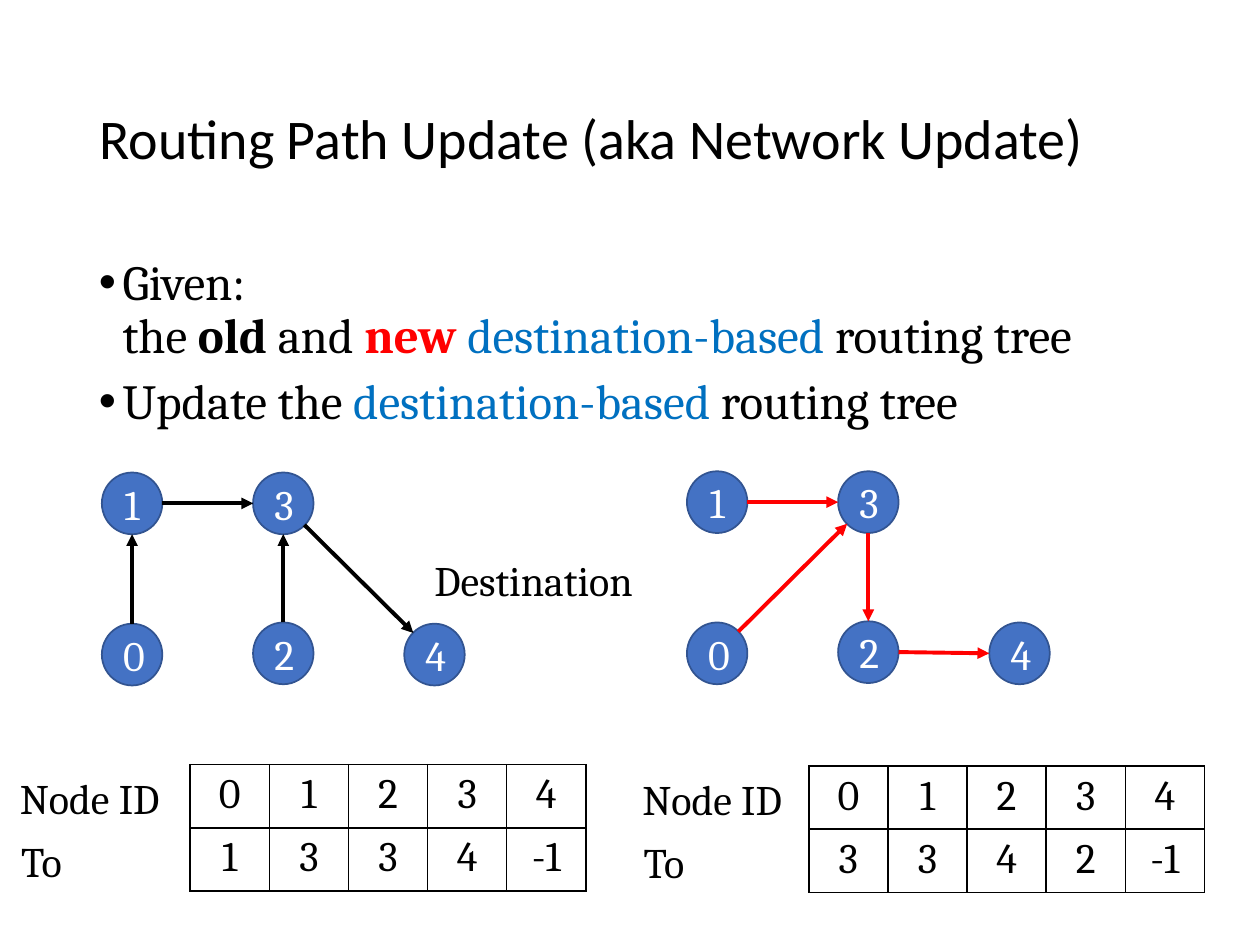
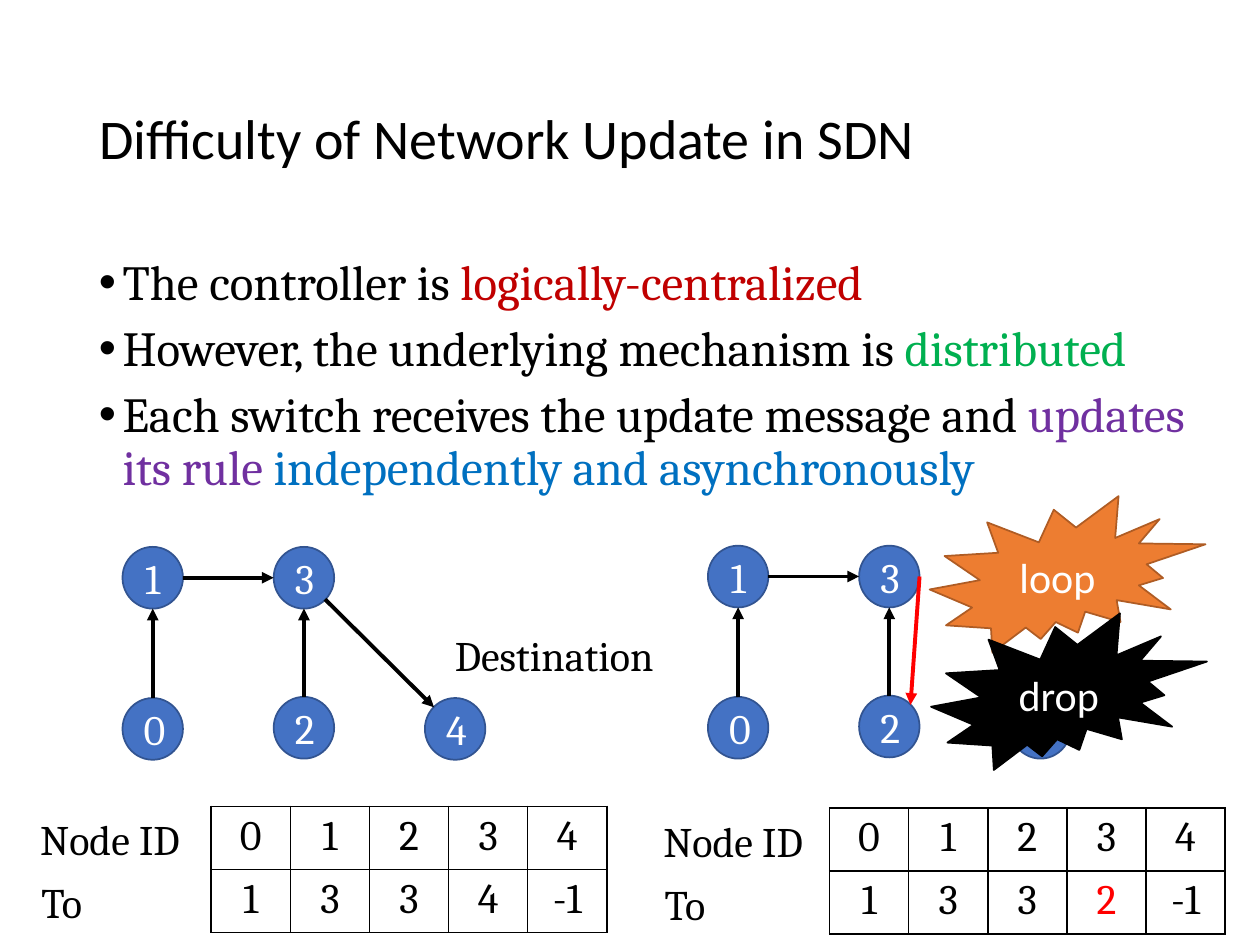
from lxml.etree import SubElement
from pptx import Presentation
from pptx.dml.color import RGBColor
from pptx.enum.shapes import MSO_CONNECTOR as Connector, MSO_SHAPE as Shape
from pptx.enum.text import MSO_ANCHOR as Anchor, MSO_AUTO_SIZE as AutoSize, PP_ALIGN as Align
from pptx.oxml.ns import qn
from pptx.util import Pt

BLACK, WHITE, RED = "000000", "FFFFFF", "FF0000"
BLUE, NODE_FILL, NODE_LINE = "0070C0", "4472C4", "325491"
TITLE_FONT, TEXT_FONT = "Calibri", "Cambria"
NODE_WIDTH, NODE_HEIGHT, NODE_PITCH = 34.56, 35.28, 86.4
COLUMN_WIDTH, ROW_HEIGHT = 45.22, 29.2
NODE_OFFSETS = {
    "0": (0, NODE_PITCH),
    "1": (0, 0),
    "2": (NODE_PITCH, NODE_PITCH - 0.7),
    "3": (NODE_PITCH, 0),
    "4": (2 * NODE_PITCH, NODE_PITCH),
}
NEAR, FAR = 0.15, 0.85
SITES = {
    "top": (0.5, 0),
    "left": (0, 0.5),
    "bottom": (0.5, 1),
    "right": (1, 0.5),
    "top left": (NEAR, NEAR),
    "top right": (FAR, NEAR),
    "bottom left": (NEAR, FAR),
    "bottom right": (FAR, FAR),
}
UP_0_1 = ("0", "top", "1", "bottom", BLACK)
ACROSS_1_3 = ("1", "right", "3", "left", BLACK)
UP_2_3 = ("2", "top", "3", "bottom", BLACK)
OLD_TREE = [UP_0_1, ACROSS_1_3, ("3", "bottom right", "4", "top left", BLACK), UP_2_3]
NEW_TREE = [
    ("0", "top right", "3", "bottom left", RED),
    ("1", "right", "3", "left", RED),
    ("3", "bottom", "2", "top", RED),
    ("2", "right", "4", "left", RED),
]
LOOP_TREE = [UP_0_1, ACROSS_1_3, UP_2_3, ("3", "right", "2", "top right", RED)]
OLD_TARGETS = ["1", "3", "3", "4", "-1"]


def color(hex_string):
    return RGBColor.from_string(hex_string)


def add_run(paragraph, text, size=24, font=TEXT_FONT, hue=BLACK, bold=False):
    run = paragraph.add_run()
    run.text = text
    run.font.size = Pt(size)
    run.font.name = font
    run.font.bold = bold
    run.font.color.rgb = color(hue)


def add_title(slide, text):
    title = slide.shapes.title
    title.left, title.top, title.width, title.height = Pt(49.5), Pt(28.8), Pt(621), Pt(104.4)
    frame = title.text_frame
    frame.vertical_anchor = Anchor.MIDDLE
    frame.auto_size = AutoSize.NONE
    paragraph = frame.paragraphs[0]
    paragraph.alignment = Align.LEFT
    paragraph.line_spacing = 0.9
    add_run(paragraph, text, 32, TITLE_FONT)


def add_bullets(slide, width, items):
    box = slide.shapes.add_textbox(Pt(49.5), Pt(144), Pt(width), Pt(342.7))
    frame = box.text_frame
    frame.word_wrap = True
    for index, lines in enumerate(items):
        paragraph = frame.add_paragraph() if index else frame.paragraphs[0]
        paragraph.line_spacing = 0.9
        paragraph.space_before = Pt(7.5 if index else 0)
        properties = paragraph._p.get_or_add_pPr()
        properties.set("marL", str(Pt(13.5)))
        properties.set("indent", str(-Pt(13.5)))
        SubElement(properties, qn("a:buFont"), typeface="Arial")
        SubElement(properties, qn("a:buChar"), char="•")
        for number, runs in enumerate(lines):
            if number:
                paragraph.add_line_break()
            for text, hue, bold in runs:
                add_run(paragraph, text, 28, hue=hue, bold=bold)


def add_label(slide, text, left, top, width):
    box = slide.shapes.add_textbox(Pt(left), Pt(top), Pt(width), Pt(36))
    box.text_frame.word_wrap = False
    box.text_frame.auto_size = AutoSize.SHAPE_TO_FIT_TEXT
    add_run(box.text_frame.paragraphs[0], text)


def add_figure(slide, kind, text, place, fill, line, font):
    shape = slide.shapes.add_shape(kind, *map(Pt, place))
    shape.shadow.inherit = False
    shape.fill.solid()
    shape.fill.fore_color.rgb = color(fill)
    shape.line.color.rgb = color(line)
    shape.line.width = Pt(1)
    shape.text_frame.vertical_anchor = Anchor.MIDDLE
    paragraph = shape.text_frame.paragraphs[0]
    paragraph.alignment = Align.CENTER
    add_run(paragraph, text, font=font, hue=WHITE)


def add_arrow(slide, start, end, hue):
    arrow = slide.shapes.add_connector(Connector.STRAIGHT, *map(Pt, start + end))
    arrow.line.color.rgb = color(hue)
    arrow.line.width = Pt(2.25)
    SubElement(arrow.line._get_or_add_ln(), qn("a:tailEnd"), type="triangle")
    SubElement(arrow._element.spPr, qn("a:effectLst"))


def add_network(slide, left, top, edges):
    def site_point(node, site):
        across, down = NODE_OFFSETS[node]
        x, y = SITES[site]
        return left + across + x * NODE_WIDTH, top + down + y * NODE_HEIGHT

    for name, (across, down) in NODE_OFFSETS.items():
        place = (left + across, top + down, NODE_WIDTH, NODE_HEIGHT)
        add_figure(slide, Shape.OVAL, name, place, NODE_FILL, NODE_LINE, TEXT_FONT)
    for source, source_site, target, target_site, hue in edges:
        add_arrow(slide, site_point(source, source_site), site_point(target, target_site), hue)


def add_borders(cell):
    properties = cell._tc.get_or_add_tcPr()
    for index, side in enumerate(("lnL", "lnR", "lnT", "lnB")):
        line = properties.makeelement(qn(f"a:{side}"), {"w": str(Pt(1))})
        fill = SubElement(line, qn("a:solidFill"))
        SubElement(fill, qn("a:srgbClr"), val=BLACK)
        properties.insert(index, line)


def add_routing_table(slide, left, top, label_left, targets, changed=None):
    rows = [list(NODE_OFFSETS), targets]
    frame = slide.shapes.add_table(
        2, len(targets), Pt(left), Pt(top), Pt(COLUMN_WIDTH * len(targets)), Pt(2 * ROW_HEIGHT)
    )
    table = frame.table
    table.first_row = table.horz_banding = False
    for column in table.columns:
        column.width = Pt(COLUMN_WIDTH)
    for row_index, values in enumerate(rows):
        table.rows[row_index].height = Pt(ROW_HEIGHT)
        for column_index, value in enumerate(values):
            cell = table.cell(row_index, column_index)
            cell.fill.background()
            add_borders(cell)
            paragraph = cell.text_frame.paragraphs[0]
            paragraph.alignment = Align.CENTER
            is_changed = (row_index, column_index) == (1, changed)
            add_run(paragraph, value, hue=RED if is_changed else BLACK)
    add_label(slide, "Node ID", label_left, top + 0.7, 103.7)
    add_label(slide, "To", label_left + 0.7, top + 36.7, 45.4)


def add_old_network(slide, left, top):
    add_network(slide, left, top, OLD_TREE)
    add_label(slide, "Destination", left + 182.9, top + 43.5, 134.6)


def add_slide(presentation, title, body_width, bullets):
    slide = presentation.slides.add_slide(presentation.slide_layouts[5])
    add_bullets(slide, body_width, bullets)
    add_title(slide, title)
    return slide


def build_path_update(presentation):
    slide = add_slide(presentation, "Routing Path Update (aka Network Update)", 621, [
        [
            [("Given:", BLACK, False)],
            [
                ("the ", BLACK, False),
                ("old", BLACK, True),
                (" and ", BLACK, False),
                ("new ", RED, True),
                ("destination-based ", BLUE, False),
                ("routing tree", BLACK, False),
            ],
        ],
        [[
            ("Update the ", BLACK, False),
            ("destination-based", BLUE, False),
            (" routing tree", BLACK, False),
        ]],
    ])
    add_routing_table(slide, 108.7, 437, 4.3, OLD_TARGETS)
    add_routing_table(slide, 462.2, 437.8, 360, ["3", "3", "4", "2", "-1"])
    add_old_network(slide, 58.2, 270)
    add_network(slide, 392.5, 269.3, NEW_TREE)


def build_difficulty(presentation):
    slide = add_slide(presentation, "Difficulty of Network Update in SDN", 651, [
        [[("The controller is ", BLACK, False), ("logically-centralized", "C00000", False)]],
        [[
            ("However, the underlying mechanism is ", BLACK, False),
            ("distributed", "00B050", False),
        ]],
        [[
            ("Each switch receives the update message and ", BLACK, False),
            ("updates its rule ", "7030A0", False),
            ("independently and asynchronously", BLUE, False),
        ]],
    ])
    add_routing_table(slide, 120.7, 460.8, 15.9, OLD_TARGETS)
    add_routing_table(slide, 474, 461.6, 372, ["1", "3", "3", "2", "-1"], changed=3)
    add_old_network(slide, 70, 312.5)
    add_network(slide, 404.5, 311.8, LOOP_TREE)
    bursts = [("loop", 531.2, 283.5, "ED7D31", "AF5C24"), ("drop", 532, 350.5, BLACK, BLACK)]
    for text, left, top, fill, line in bursts:
        place = (left, top, 157.7, 89.5)
        add_figure(slide, Shape.EXPLOSION2, text, place, fill, line, TITLE_FONT)


def main():
    presentation = Presentation()
    presentation.slide_width, presentation.slide_height = Pt(720), Pt(540)
    build_path_update(presentation)
    build_difficulty(presentation)
    presentation.save("out.pptx")


if __name__ == "__main__":
    main()
